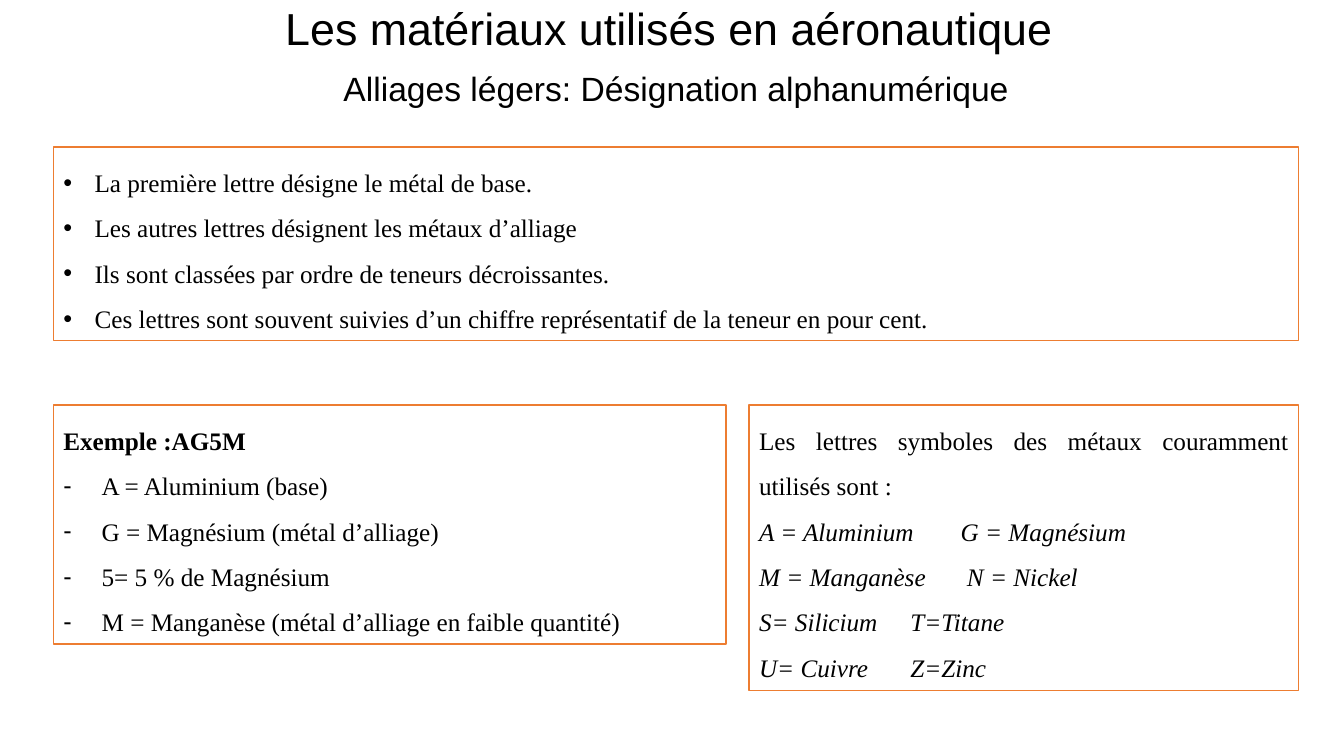
from dataclasses import dataclass

from lxml.etree import SubElement
from pptx import Presentation
from pptx.dml.color import RGBColor
from pptx.enum.shapes import MSO_SHAPE
from pptx.enum.text import MSO_ANCHOR, MSO_AUTO_SIZE, PP_ALIGN
from pptx.oxml.ns import qn
from pptx.util import Inches, Pt


@dataclass(frozen=True)
class Theme:
    """Colours, fonts and type sizes of the slide."""
    ink: RGBColor = RGBColor.from_string("000000")
    paper: RGBColor = RGBColor.from_string("FFFFFF")
    frame: RGBColor = RGBColor.from_string("ED7D31")
    heading_font: str = "Arial"
    body_font: str = "Times New Roman"
    title_size: int = 32
    subtitle_size: int = 24
    body_size: int = 18


def apply(target, formats):
    """Set every attribute named in formats on the target."""
    for name, value in formats.items():
        setattr(target, name, value)


class SlideBuilder:
    """Holds the theme and the current slide."""

    def __init__(self, page, theme):
        """Keep the page and the theme."""
        self.page = page
        self.theme = theme

    def fill_paragraph(self, para, text, layout, font):
        """Fill a paragraph with one formatted span."""
        apply(para, layout)
        span = para.add_run()
        span.text = text
        apply(span.font, font)
        span.font.color.rgb = self.theme.ink

    def heading(self, text, size, left, top, width, height):
        """Add a centred heading."""
        box = self.page.shapes.add_textbox(*map(Inches, (left, top, width, height)))
        apply(box.text_frame, {"word_wrap": True, "vertical_anchor": MSO_ANCHOR.MIDDLE})
        self.fill_paragraph(
            box.text_frame.paragraphs[0], text,
            {"alignment": PP_ALIGN.CENTER, "line_spacing": 0.9},
            {"name": self.theme.heading_font, "size": Pt(size)},
        )

    def bullet(self, para, mark, indent):
        """Give a paragraph a hanging bullet."""
        properties = para._p.get_or_add_pPr()
        properties.set("marL", str(Inches(indent)))
        properties.set("indent", str(-Inches(indent)))
        SubElement(properties, qn("a:buFont"), typeface=self.theme.heading_font)
        SubElement(properties, qn("a:buChar"), char=mark)

    def panel(self, left, top, width, height, lines, mark=None, indent=0):
        """Add a framed panel from (text, has_bullet, font formats) lines."""
        box = self.page.shapes.add_shape(
            MSO_SHAPE.RECTANGLE, *map(Inches, (left, top, width, height)))
        box.shadow.inherit = False
        box.fill.solid()
        box.fill.fore_color.rgb = self.theme.paper
        box.line.color.rgb = self.theme.frame
        box.line.width = Pt(1)
        frame = box.text_frame
        apply(frame, {"word_wrap": True, "vertical_anchor": MSO_ANCHOR.TOP,
                      "auto_size": MSO_AUTO_SIZE.SHAPE_TO_FIT_TEXT})
        for number, (text, has_bullet, font) in enumerate(lines):
            para = frame.add_paragraph() if number else frame.paragraphs[0]
            if has_bullet:
                self.bullet(para, mark, indent)
            self.fill_paragraph(
                para, text,
                {"alignment": PP_ALIGN.JUSTIFY, "line_spacing": 1.5},
                {"name": self.theme.body_font, "size": Pt(self.theme.body_size), **font},
            )


def main():
    """Build and save the slide."""
    deck = Presentation()
    apply(deck, {"slide_width": Inches(13.33), "slide_height": Inches(7.5)})
    theme = Theme()
    builder = SlideBuilder(deck.slides.add_slide(deck.slide_layouts[6]), theme)

    builder.heading("Les matériaux utilisés en aéronautique ", theme.title_size,
                    0.95, 0, 11.5, 0.62)
    builder.heading("Alliages légers: Désignation alphanumérique", theme.subtitle_size,
                    2.9, 0.6, 7.61, 0.6)

    rules = [
        "La première lettre désigne le métal de base.",
        "Les autres lettres désignent les métaux d’alliage",
        "Ils sont classées par ordre de teneurs décroissantes. ",
        "Ces lettres sont souvent suivies d’un chiffre représentatif de la teneur en pour cent.",
    ]
    example = [
        "A = Aluminium (base)",
        "G = Magnésium (métal d’alliage)",
        "5= 5 % de Magnésium",
        "M = Manganèse (métal d’alliage en faible quantité)",
    ]
    symbols = [
        "A = Aluminium \tG = Magnésium ",
        "M = Manganèse\t N = Nickel ",
        "S= Silicium \tT=Titane ",
        "U= Cuivre \tZ=Zinc",
    ]
    builder.panel(0.53, 1.46, 12.35, 1.92,
                  [(text, True, {}) for text in rules], "•", 0.31)
    builder.panel(0.53, 4.02, 6.67, 2.37,
                  [("Exemple :AG5M", False, {"bold": True})]
                  + [(text, True, {}) for text in example], "-", 0.38)
    builder.panel(7.43, 4.02, 5.45, 2.83,
                  [("Les lettres symboles des métaux couramment utilisés sont : ", False, {})]
                  + [(text, False, {"italic": True}) for text in symbols])
    deck.save("out.pptx")


if __name__ == "__main__":
    main()
